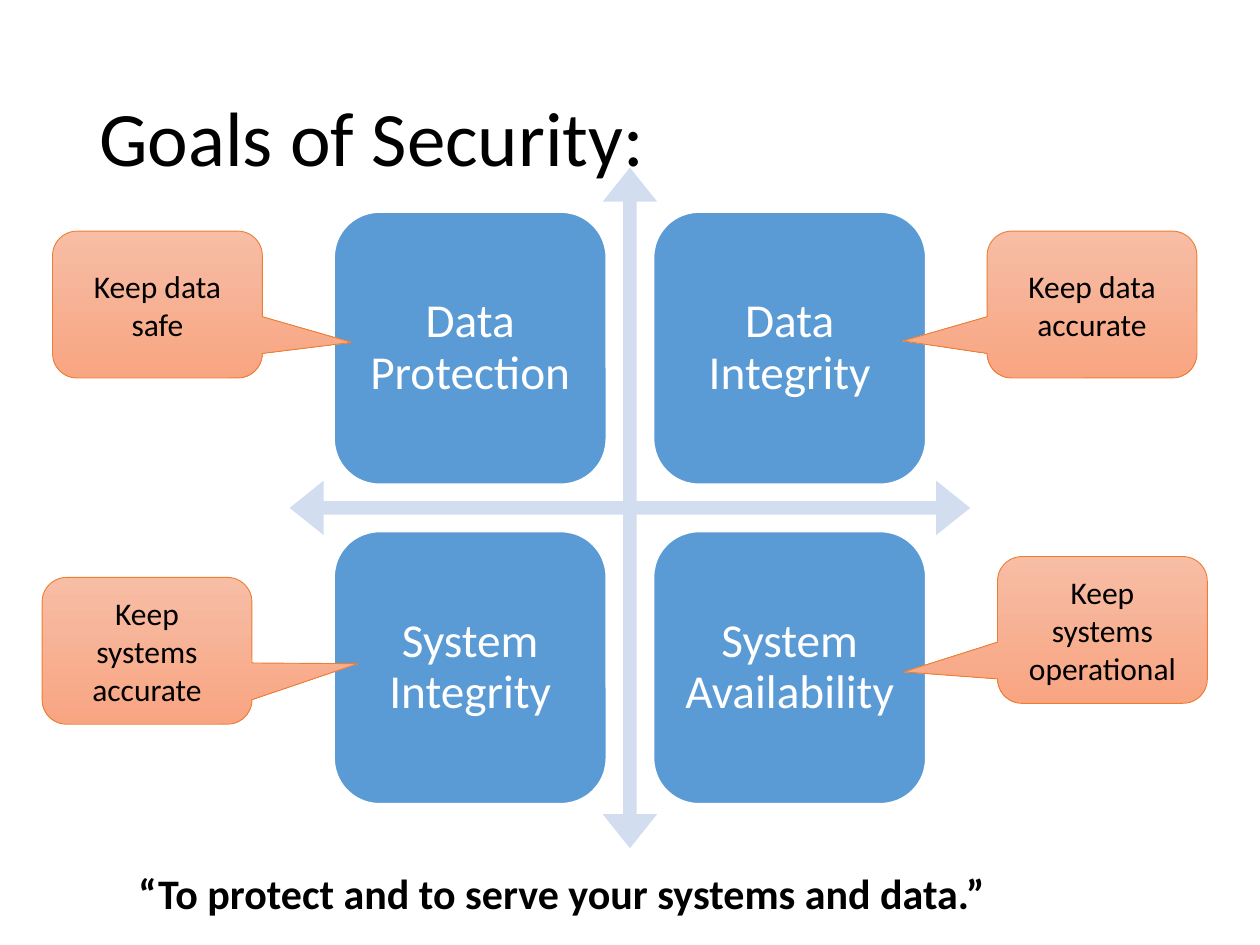
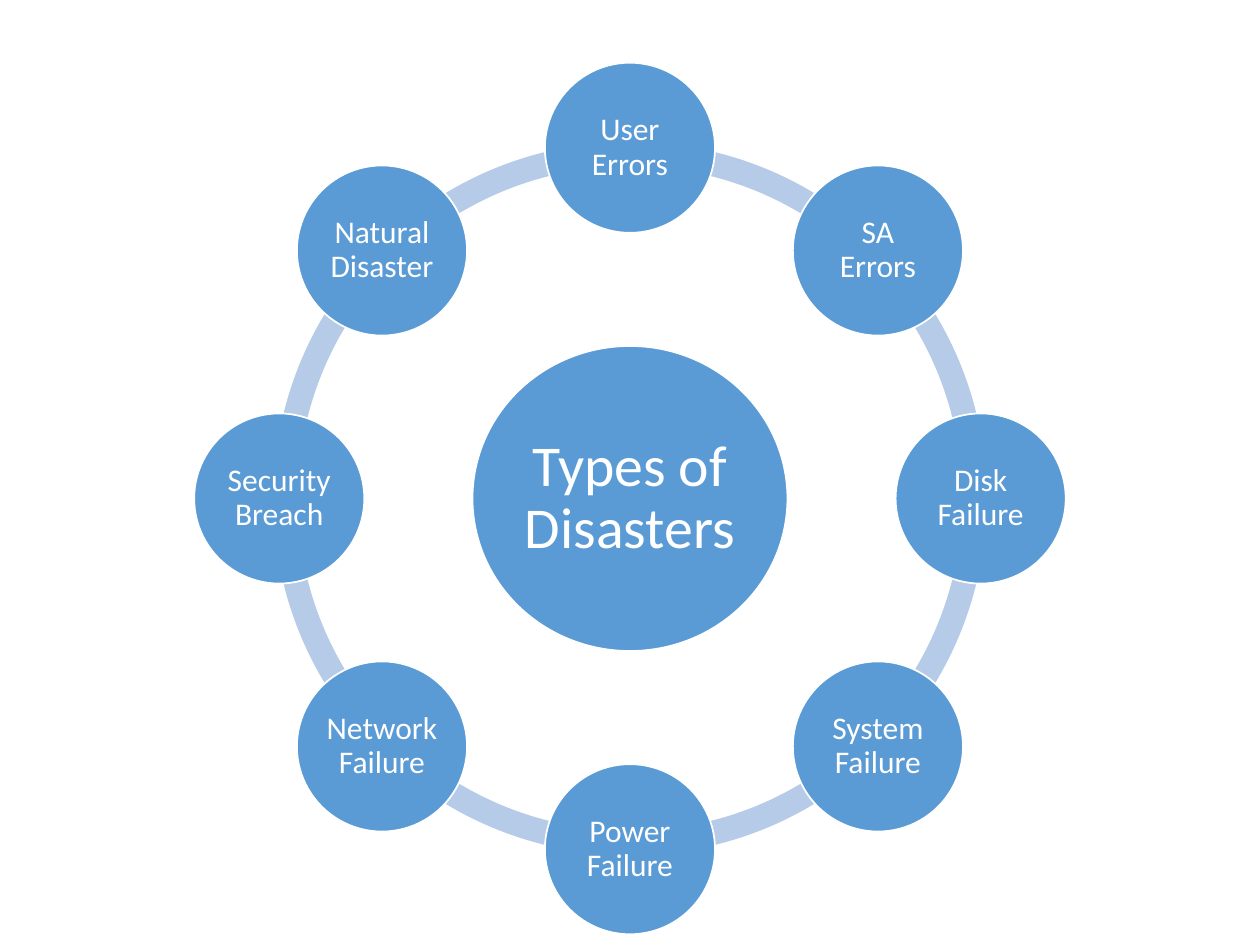
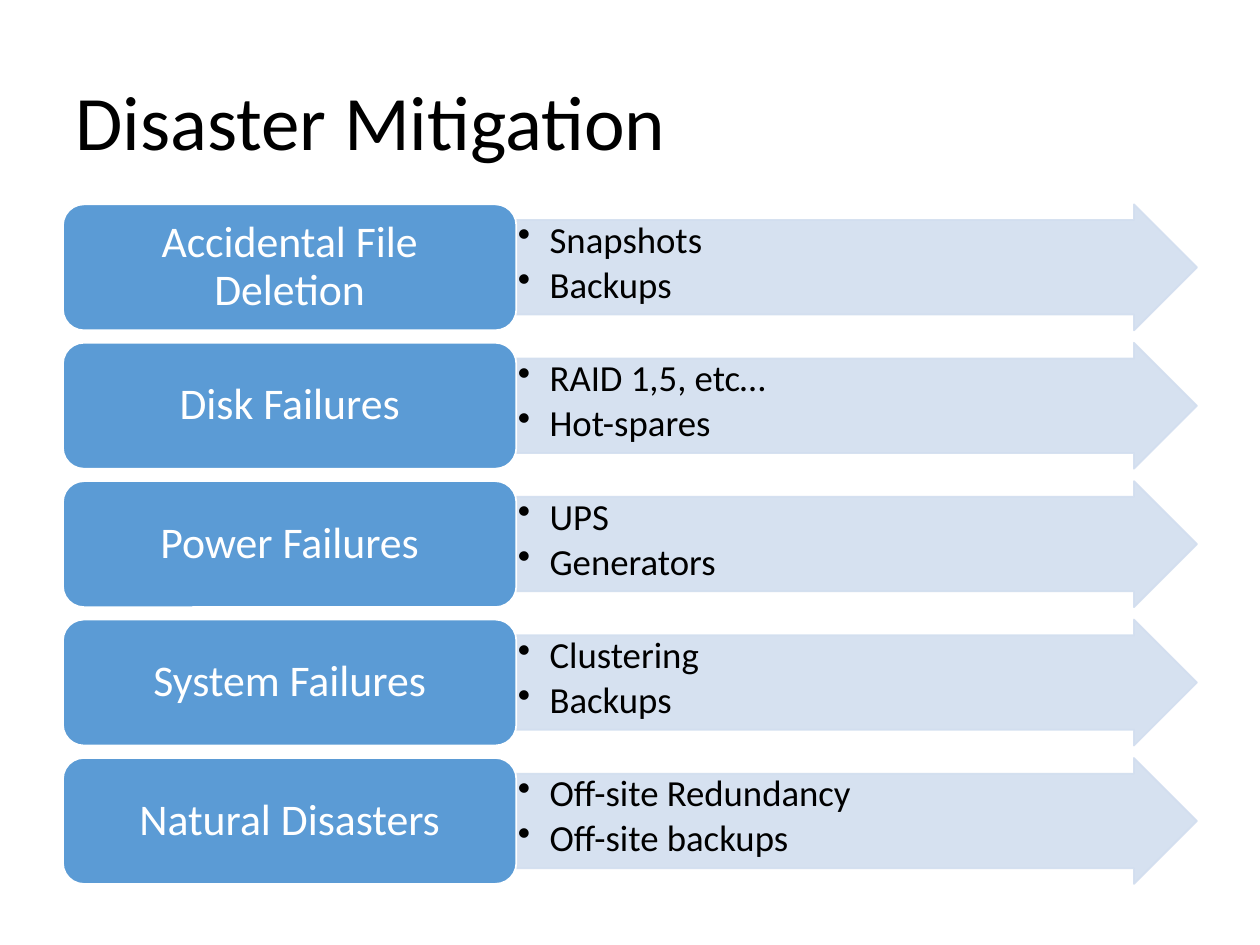
"""Build three slides on security goals, disaster types and mitigation."""
import math
import pptx
import pptx.dml.color
import pptx.enum.shapes
import pptx.enum.text
import pptx.oxml
import pptx.oxml.ns
import pptx.util

Cm = pptx.util.Cm
Pt = pptx.util.Pt
RGB = pptx.dml.color.RGBColor
SHAPE = pptx.enum.shapes.MSO_SHAPE
ALIGN = pptx.enum.text.PP_ALIGN
ANCHOR = pptx.enum.text.MSO_ANCHOR
FIT = pptx.enum.text.MSO_AUTO_SIZE

FONT = "Calibri"
BLACK = RGB(0x00, 0x00, 0x00)
WHITE = RGB(0xFF, 0xFF, 0xFF)
BLUE = RGB(0x5B, 0x9B, 0xD5)
PALE = RGB(0xD2, 0xDE, 0xEF)
RING = RGB(0xB5, 0xCB, 0xE7)
PEACH = RGB(0xF7, 0xBD, 0xA5)
CORAL = RGB(0xF8, 0xA5, 0x82)
ORANGE = RGB(0xED, 0x7D, 0x31)

GOALS = [
    ("Data Protection", -1, -1),
    ("Data Integrity", 1, -1),
    ("System Integrity", -1, 1),
    ("System Availability", 1, 1),
]
NOTES = [
    ("Keep data safe", 1.06, 4.66, 0.926, 0.258),
    ("Keep data accurate", 19.9, 4.66, -0.901, 0.248),
    ("Keep systems operational", 20.11, 11.22, -0.947, 0.286),
    ("Keep systems accurate", 0.85, 11.64, 1.005, 0.088),
]
MOTTO = "“To protect and to serve your systems and data.”"
TYPES = [
    "User Errors", "SA Errors", "Disk Failure", "System Failure",
    "Power Failure", "Network Failure", "Security Breach", "Natural Disaster",
]
PLANS = [
    ("Accidental File Deletion", ["Snapshots", "Backups"]),
    ("Disk Failures", ["RAID 1,5, etc…", "Hot-spares"]),
    ("Power Failures", ["UPS", "Generators"]),
    ("System Failures", ["Clustering", "Backups"]),
    ("Natural Disasters", ["Off-site Redundancy", "Off-site backups"]),
]
MID = 12.7


def write(para, text, size, color=BLACK, bold=False, lead=0.9):
    para.line_spacing = lead
    run = para.add_run()
    run.text = text
    font = run.font
    font.name, font.size, font.bold = FONT, Pt(size), bold
    font.color.rgb = color


def pad(frame, side, edge, anchor=ANCHOR.MIDDLE):
    frame.word_wrap = True
    frame.auto_size = FIT.NONE
    frame.vertical_anchor = anchor
    frame.margin_left = frame.margin_right = Cm(side)
    frame.margin_top = frame.margin_bottom = Cm(edge)


def draw(slide, kind, box, fill, line=None, tweaks=()):
    shape = slide.shapes.add_shape(kind, *map(Cm, box))
    shape.shadow.inherit = False
    shape.fill.solid()
    shape.fill.fore_color.rgb = fill
    if line is None:
        shape.line.fill.background()
    else:
        shape.line.color.rgb = line
        shape.line.width = Pt(1)
    for spot, value in enumerate(tweaks):
        shape.adjustments[spot] = value
    return shape


def label(shape, text, size, side, edge, color=WHITE, lead=0.9):
    pad(shape.text_frame, side, edge)
    para = shape.text_frame.paragraphs[0]
    para.alignment = ALIGN.CENTER
    write(para, text, size, color, lead=lead)


def around(x, y, wide, high):
    return x - wide / 2, y - high / 2, wide, high


def head(deck, text, box):
    slide = deck.slides.add_slide(deck.slide_layouts[5])
    title = slide.shapes.title
    title.left, title.top, title.width, title.height = map(Cm, box)
    pad(title.text_frame, 0.25, 0.13)
    para = title.text_frame.paragraphs[0]
    para.alignment = ALIGN.LEFT
    write(para, text, 44)
    return slide


def fade(shape):
    for color in shape.element.spPr.iter(pptx.oxml.ns.qn("a:srgbClr")):
        alpha = pptx.oxml.parse_xml(
            f'<a:alpha {pptx.oxml.ns.nsdecls("a")} val="90000"/>')
        color.append(alpha)


def dot(para):
    props = para._p.get_or_add_pPr()
    props.set("marL", str(Cm(0.64)))
    props.set("indent", str(-Cm(0.64)))
    props.append(pptx.oxml.parse_xml(
        f'<a:buChar {pptx.oxml.ns.nsdecls("a")} char="•"/>'))


def goals(deck):
    slide = head(deck, "Goals of Security:", (1.75, 1.02, 21.9, 3.68))
    mid, step, side = 10.24, 3.22, 5.49
    draw(slide, SHAPE.QUAD_ARROW, around(MID, mid, 13.72, 13.72), PALE,
         tweaks=(0.02, 0.04, 0.05))
    for text, col, row in GOALS:
        box = around(MID + col * step, mid + row * step, side, side)
        tile = draw(slide, SHAPE.ROUNDED_RECTANGLE, box, BLUE, WHITE)
        label(tile, text, 27, 0.28, 0.28)
    for text, left, top, tip, drop in NOTES:
        note = draw(slide, SHAPE.ROUNDED_RECTANGULAR_CALLOUT,
                    (left, top, 4.23, 2.96), PEACH, ORANGE, (tip, drop, 0.167))
        note.line.width = Pt(0.5)
        note.fill.gradient()
        note.fill.gradient_angle = 270
        for stop, color in zip(note.fill.gradient_stops, (PEACH, CORAL)):
            stop.color.rgb = color
        label(note, text, 18, 0.25, 0.13, BLACK, 1.0)
    motto = slide.shapes.add_textbox(*map(Cm, (2.54, 17.36, 20.07, 1.28)))
    pad(motto.text_frame, 0.25, 0.13, ANCHOR.TOP)
    write(motto.text_frame.paragraphs[0], MOTTO, 24, bold=True, lead=1.0)


def types(deck):
    slide = deck.slides.add_slide(deck.slide_layouts[6])
    mid, reach, size = 10.05, 7.07, 3.43
    count = len(TYPES)
    turn = 216
    step = turn / count
    for spot in range(count):
        draw(slide, SHAPE.BLOCK_ARC, around(MID, mid, 14.38, 14.38), RING,
             tweaks=(spot * step, (spot + 1) * step % turn, 0.034))
    hub = draw(slide, SHAPE.OVAL, around(MID, mid, 6.35, 6.15), BLUE, WHITE)
    label(hub, "Types of Disasters", 33, 0.12, 0.12)
    for spot, text in enumerate(TYPES):
        angle = math.tau * spot / count
        x = MID + reach * math.sin(angle)
        y = mid - reach * math.cos(angle)
        node = draw(slide, SHAPE.OVAL, around(x, y, size, size), BLUE, WHITE)
        label(node, text, 18, 0.06, 0.06)


def plans(deck):
    slide = head(deck, "Disaster Mitigation", (1.27, 1.48, 22.86, 2.12))
    left, top, wide, high, step = 1.27, 4.12, 9.14, 2.54, 2.79
    for row, (text, cures) in enumerate(PLANS):
        y = top + row * step
        arrow = draw(slide, SHAPE.RIGHT_ARROW, (left + wide, y, 13.72, high),
                     PALE, PALE, (0.75, 0.5))
        fade(arrow)
        frame = arrow.text_frame
        pad(frame, 0.03, 0.03, ANCHOR.TOP)
        for spot, cure in enumerate(cures):
            para = frame.add_paragraph() if spot else frame.paragraphs[0]
            dot(para)
            para.alignment = ALIGN.LEFT
            para.space_after = Pt(3)
            write(para, cure, 21)
        tile = draw(slide, SHAPE.ROUNDED_RECTANGLE, (left, y, wide, high),
                    BLUE, WHITE)
        label(tile, text, 25, 0.25, 0.13)


def main():
    deck = pptx.Presentation()
    deck.slide_width, deck.slide_height = Cm(25.4), Cm(19.05)
    goals(deck)
    types(deck)
    plans(deck)
    deck.save("out.pptx")


if __name__ == "__main__":
    main()
